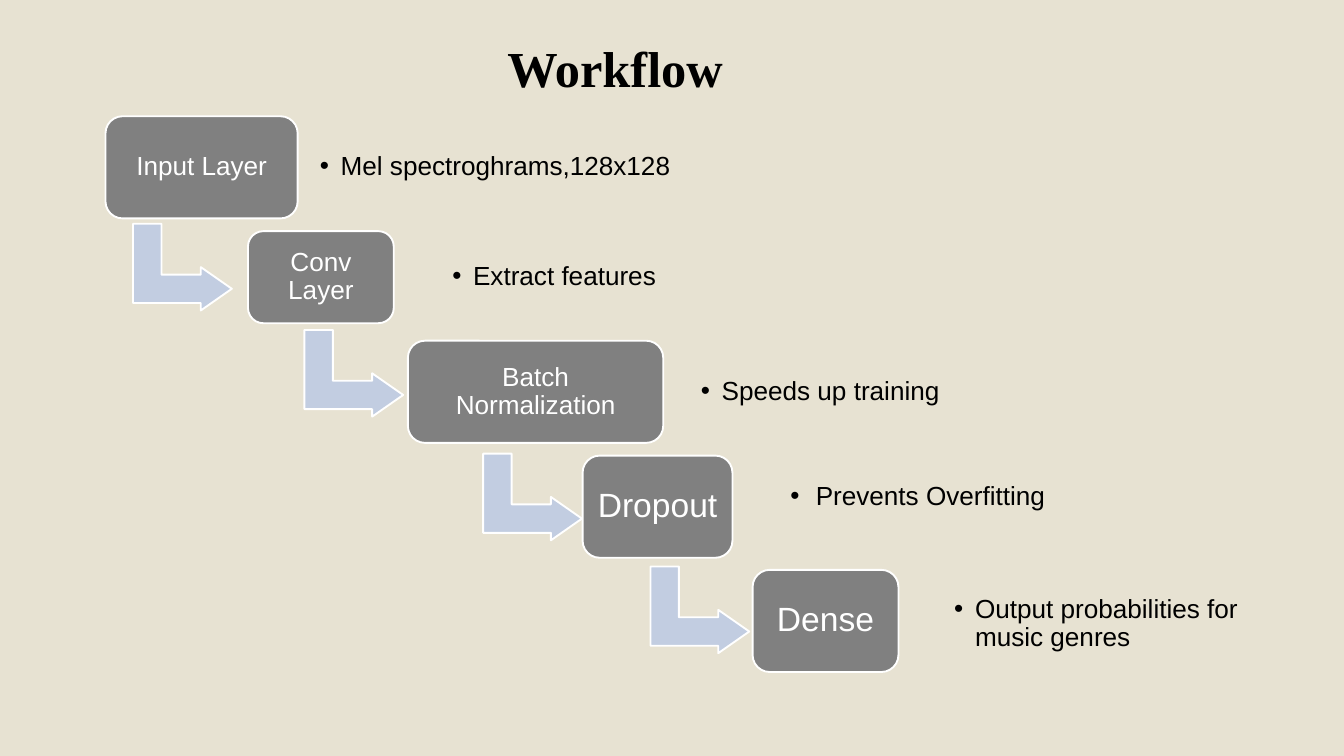
from pptx import Presentation
from pptx.dml.color import RGBColor
from pptx.enum.shapes import MSO_SHAPE as Shape
from pptx.enum.text import MSO_ANCHOR as Anchor, MSO_AUTO_SIZE as AutoSize, PP_ALIGN as Align
from pptx.oxml.ns import qn
from pptx.util import Inches, Pt
from lxml.etree import SubElement

SAND = RGBColor(0xE7, 0xE2, 0xD2)
GREY = RGBColor(0x80, 0x80, 0x80)
PALE_BLUE = RGBColor(0xC2, 0xCD, 0xE1)
WHITE = RGBColor(0xFF, 0xFF, 0xFF)
BLACK = RGBColor(0, 0, 0)

ARROW_WIDTH, ARROW_HEIGHT = 1.29, 1.47

# Layer name, text size, and box as left, top, width, height
LAYERS = [
    ("Input Layer", 28, (1.57, 1.73, 2.86, 1.52)),
    ("Conv Layer", 28, (3.69, 3.44, 2.17, 1.37)),
    ("Batch Normalization", 28, (6.07, 5.07, 3.8, 1.52)),
    ("Dropout", 36, (8.67, 6.78, 2.23, 1.52)),
    ("Dense", 36, (11.2, 8.48, 2.17, 1.52)),
]
# Left and top of the arrow that leaves each layer but the last
ARROWS = [(2.07, 3.24), (4.62, 4.82), (7.28, 6.66), (9.77, 8.34)]
# Note text, hanging indent, and box
NOTES = [
    ("Mel spectroghrams,128x128", 0.31, (4.61, 1.87, 5.85, 1.23)),
    ("Extract features", 0.31, (6.58, 3.51, 3.39, 1.23)),
    ("Speeds up training", 0.31, (10.28, 5.22, 4.05, 1.23)),
    ("Prevents Overfitting", 0.38, (11.61, 7.11, 4.48, 0.57)),
    ("Output probabilities for music genres", 0.31, (14.05, 8.67, 4.91, 1.23)),
]


def set_values(target, values):
    for name, value in values.items():
        setattr(target, name, value)


def format_frame(frame, inset, anchor=Anchor.MIDDLE):
    set_values(frame, {"word_wrap": True, "auto_size": AutoSize.NONE,
                       "vertical_anchor": anchor})
    set_values(frame, {f"margin_{side}": Inches(inset)
                       for side in ("left", "right", "top", "bottom")})


def write(para, text, size, color, name="Arial", bold=False):
    span = para.add_run()
    span.text = text
    set_values(span.font, {"size": Pt(size), "name": name, "bold": bold})
    span.font.color.rgb = color


def add_filled(slide, kind, place, fill, adjustments):
    shape = slide.shapes.add_shape(kind, *map(Inches, place))
    shape.shadow.inherit = False
    shape.fill.solid()
    shape.fill.fore_color.rgb = fill
    shape.line.color.rgb = WHITE
    shape.line.width = Pt(2)
    for index, value in enumerate(adjustments):
        shape.adjustments[index] = value
    return shape


def add_title(slide, text):
    title = slide.shapes.title
    set_values(title, {"left": Inches(7.45), "top": Inches(0.5),
                       "width": Inches(3.64), "height": Inches(1.01)})
    format_frame(title.text_frame, 0.1)
    para = title.text_frame.paragraphs[0]
    para.alignment = Align.LEFT
    write(para, text, 54, BLACK, "Times New Roman", True)


def add_arrow(slide, left, top):
    place = (left, top, ARROW_WIDTH, ARROW_HEIGHT)
    arrow = add_filled(slide, Shape.BENT_UP_ARROW, place, PALE_BLUE, (0.328, 0.25, 0.358))
    arrow.rotation = 90


def add_layer(slide, text, size, place):
    box = add_filled(slide, Shape.ROUNDED_RECTANGLE, place, GREY, (0.167,))
    format_frame(box.text_frame, 0.12)
    para = box.text_frame.paragraphs[0]
    set_values(para, {"alignment": Align.CENTER, "line_spacing": 0.9})
    write(para, text, size, WHITE)


def add_note(slide, text, indent, place):
    box = slide.shapes.add_textbox(*map(Inches, place))
    format_frame(box.text_frame, 0.15 if place[3] > 1 else 0.05)
    box.text_frame.margin_left = box.text_frame.margin_right = Inches(0.15)
    para = box.text_frame.paragraphs[0]
    para.line_spacing = 0.9
    # Hanging bullet
    props = para._p.get_or_add_pPr()
    props.set("marL", str(Inches(indent)))
    props.set("indent", str(-Inches(indent)))
    color = SubElement(props, qn("a:buClr"))
    SubElement(color, qn("a:srgbClr"), val=str(BLACK))
    SubElement(props, qn("a:buFont"), typeface="Arial")
    SubElement(props, qn("a:buChar"), char="•")
    write(para, text, 28, BLACK)


def main():
    deck = Presentation()
    deck.slide_width, deck.slide_height = Inches(20), Inches(11.25)
    slide = deck.slides.add_slide(deck.slide_layouts[5])
    slide.background.fill.solid()
    slide.background.fill.fore_color.rgb = SAND

    add_title(slide, "Workflow")
    # Staircase of layers, each with its note
    for arrow in ARROWS:
        add_arrow(slide, *arrow)
    for layer, note in zip(LAYERS, NOTES):
        add_layer(slide, *layer)
        add_note(slide, *note)
    deck.save("out.pptx")


if __name__ == "__main__":
    main()
